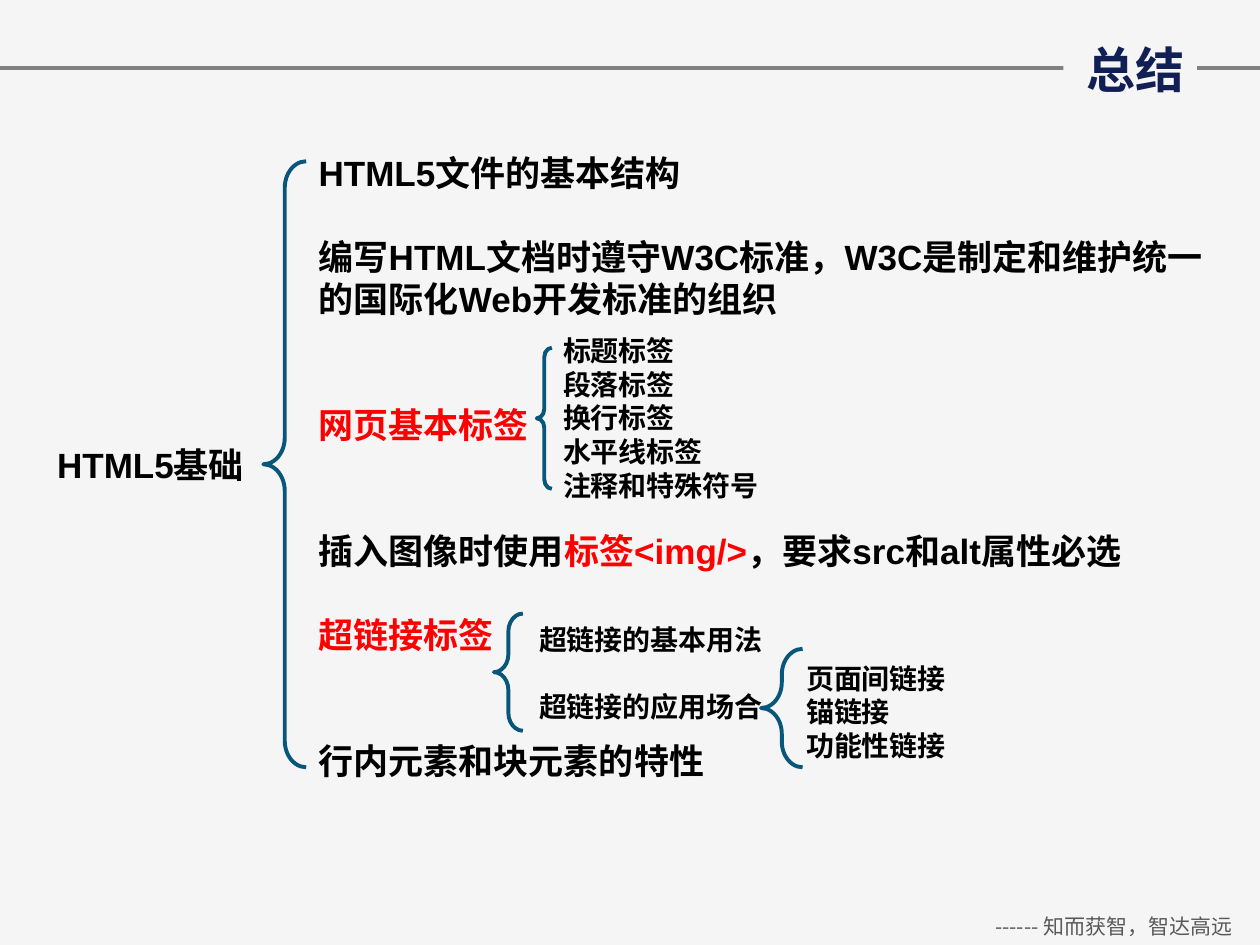
from lxml import etree
from pptx import Presentation
from pptx.dml.color import RGBColor
from pptx.enum.shapes import MSO_CONNECTOR, MSO_SHAPE
from pptx.enum.text import MSO_ANCHOR, MSO_AUTO_SIZE, PP_ALIGN
from pptx.oxml.ns import qn
from pptx.util import Inches, Pt

COLORS = {"bg": "F5F5F5", "rule": "808080", "footer": "595959", "title": "121F55",
          "text": "000000", "key": "FF0000", "brace": "08577A"}
CJK = "Noto Sans CJK SC"
LINE = 1.2  # line height as a multiple of the text size


def rgb(name):
    return RGBColor.from_string(COLORS[name])


def set_font(p, size, color="text", name="Arial", bold=True):
    f = p.font
    f.size, f.bold, f.name = Pt(size), bold, name
    f.color.rgb = rgb(color)
    ea = etree.SubElement(p._p.pPr.find(qn("a:defRPr")), qn("a:ea"))
    ea.set("typeface", CJK)


def add_text(s, box, paragraphs, size, align=PP_ALIGN.LEFT, **font):
    """Each paragraph is (lines of space before, [(text, colour), ...])."""
    tf = s.shapes.add_textbox(*map(Inches, box)).text_frame
    tf.word_wrap = True
    for i, (gap, runs) in enumerate(paragraphs):
        p = tf.add_paragraph() if i else tf.paragraphs[0]
        p.alignment = align
        p.space_before = Pt(gap * LINE * size)
        set_font(p, size, **font)
        for text, color in runs:
            r = p.add_run()
            r.text = text
            if color:
                r.font.color.rgb = rgb(color)


def add_list(s, box, items, gap=0, size=16, **kwargs):
    paragraphs = [(gap if i else 0, [(item, None)]) for i, item in enumerate(items)]
    add_text(s, box, paragraphs, size, **kwargs)


def add_brace(s, box):
    sp = s.shapes.add_shape(MSO_SHAPE.LEFT_BRACE, *map(Inches, box))
    sp.shadow.inherit = False
    sp.fill.background()
    sp.line.color.rgb = rgb("brace")
    sp.line.width = Pt(2.25)
    sp.adjustments[0] = 0.62


def header(s, left, top, width):
    # Title with a filled box that interrupts the rule behind it
    title = s.shapes.title
    title.left, title.top = Inches(left + 8.44), Inches(top)
    title.width, title.height = Inches(1.06), Inches(0.64)
    title.fill.solid()
    title.fill.fore_color.rgb = rgb("bg")
    tf = title.text_frame
    tf.text = "总结"
    tf.vertical_anchor = MSO_ANCHOR.MIDDLE
    tf.auto_size = MSO_AUTO_SIZE.NONE
    p = tf.paragraphs[0]
    p.alignment = PP_ALIGN.RIGHT
    set_font(p, 28, "title", CJK)

    # Rule, placed behind the title
    y = Inches(top + 0.31)
    rule = s.shapes.add_connector(MSO_CONNECTOR.STRAIGHT, Inches(left), y,
                                  Inches(left + width), y)
    rule.line.color.rgb = rgb("rule")
    rule.line.width = Pt(2)
    etree.SubElement(rule._element.spPr, qn("a:effectLst"))
    title._element.addprevious(rule._element)


def footer(s, box):
    add_list(s, box, ["------ 知而获智，智达高远"], size=12, align=PP_ALIGN.CENTER,
             color="footer", name=CJK, bold=False)


def outline(s, left, top):
    # Root topic and its main points
    add_list(s, (left, top + 2.32, 1.99, 0.44), ["HTML5基础"], size=20,
             align=PP_ALIGN.CENTER)
    add_brace(s, (left + 1.89, top + 0.13, 0.34, 4.81))
    add_text(s, (left + 2.23, top, 7.22, 5.15), [
        (0, [("HTML5文件的基本结构", None)]),
        (1, [("编写HTML文档时遵守W3C标准，W3C是制定和维护统一的国际化Web开发标准的组织", None)]),
        (2, [("网页基本标签", "key")]),
        (2, [("插入图像时使用", None), ("标签<img/>", "key"),
             ("，要求src和alt属性必选", None)]),
        (1, [("超链接标签", "key")]),
        (2, [("行内元素和块元素的特性", None)]),
    ], 20)


def basic_tags(s, left, top):
    add_brace(s, (left, top + 0.16, 0.12, 1.12))
    add_list(s, (left + 0.11, top, 2.22, 1.45),
             ["标题标签", "段落标签", "换行标签", "水平线标签", "注释和特殊符号"])


def hyperlinks(s, left, top):
    add_brace(s, (left, top, 0.23, 0.93))
    add_list(s, (left + 0.26, top + 0.02, 2.28, 0.91),
             ["超链接的基本用法", "超链接的应用场合"], gap=1)
    # Uses of hyperlinks
    add_brace(s, (left + 2.12, top + 0.28, 0.33, 0.94))
    add_list(s, (left + 2.38, top + 0.33, 2.22, 0.91),
             ["页面间链接", "锚链接", "功能性链接"])


def main():
    prs = Presentation()
    prs.slide_width, prs.slide_height = Inches(10), Inches(7.5)
    s = prs.slides.add_slide(prs.slide_layouts[5])
    s.background.fill.solid()
    s.background.fill.fore_color.rgb = rgb("bg")
    header(s, 0, 0.23, 10)
    footer(s, (7.68, 7.2, 2.32, 0.3))
    outline(s, 0.2, 1.15)
    basic_tags(s, 4.26, 2.6)
    hyperlinks(s, 3.92, 4.87)
    prs.save("out.pptx")


if __name__ == "__main__":
    main()
